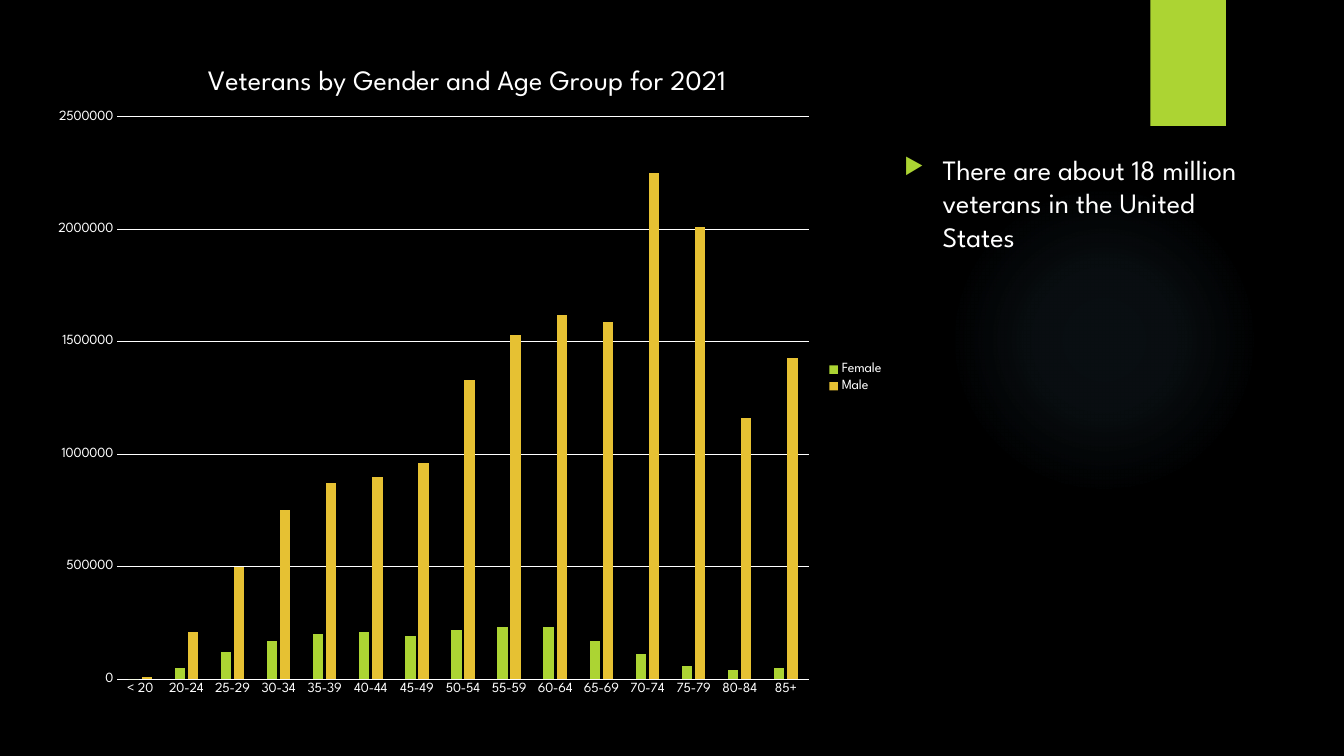
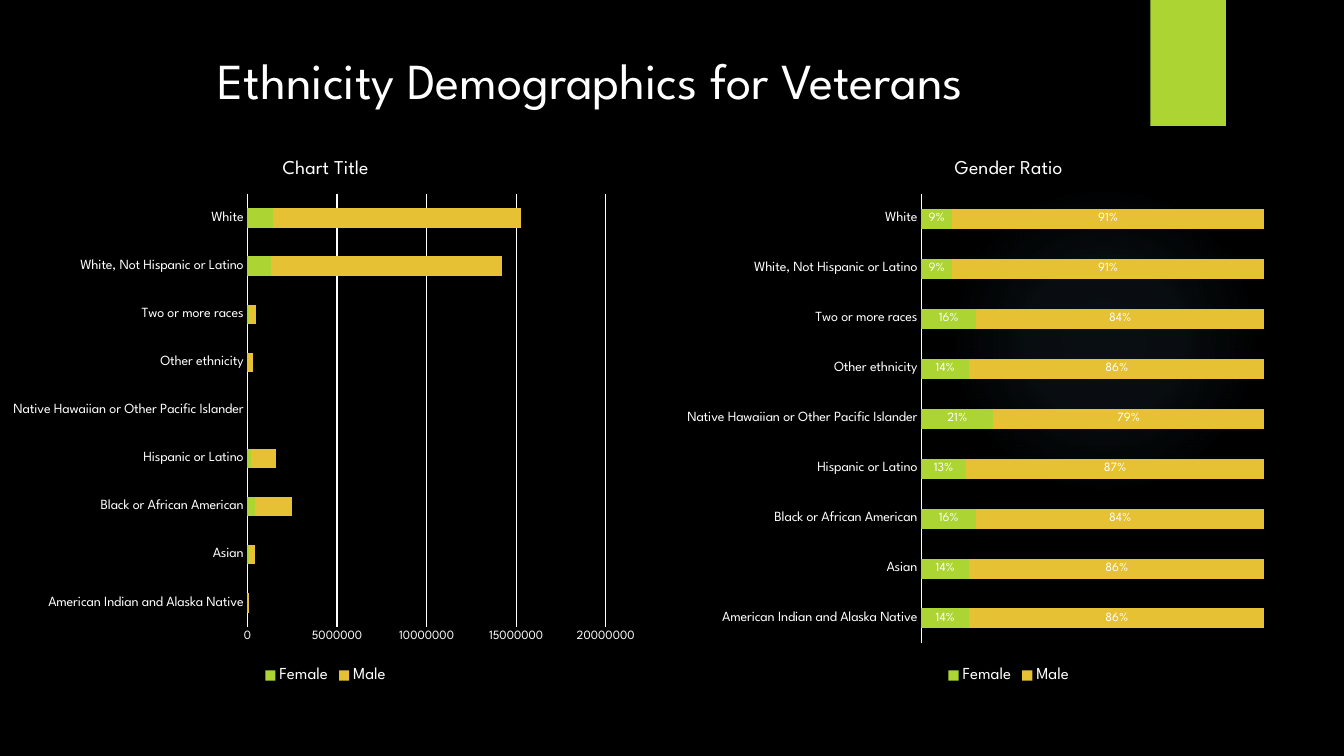
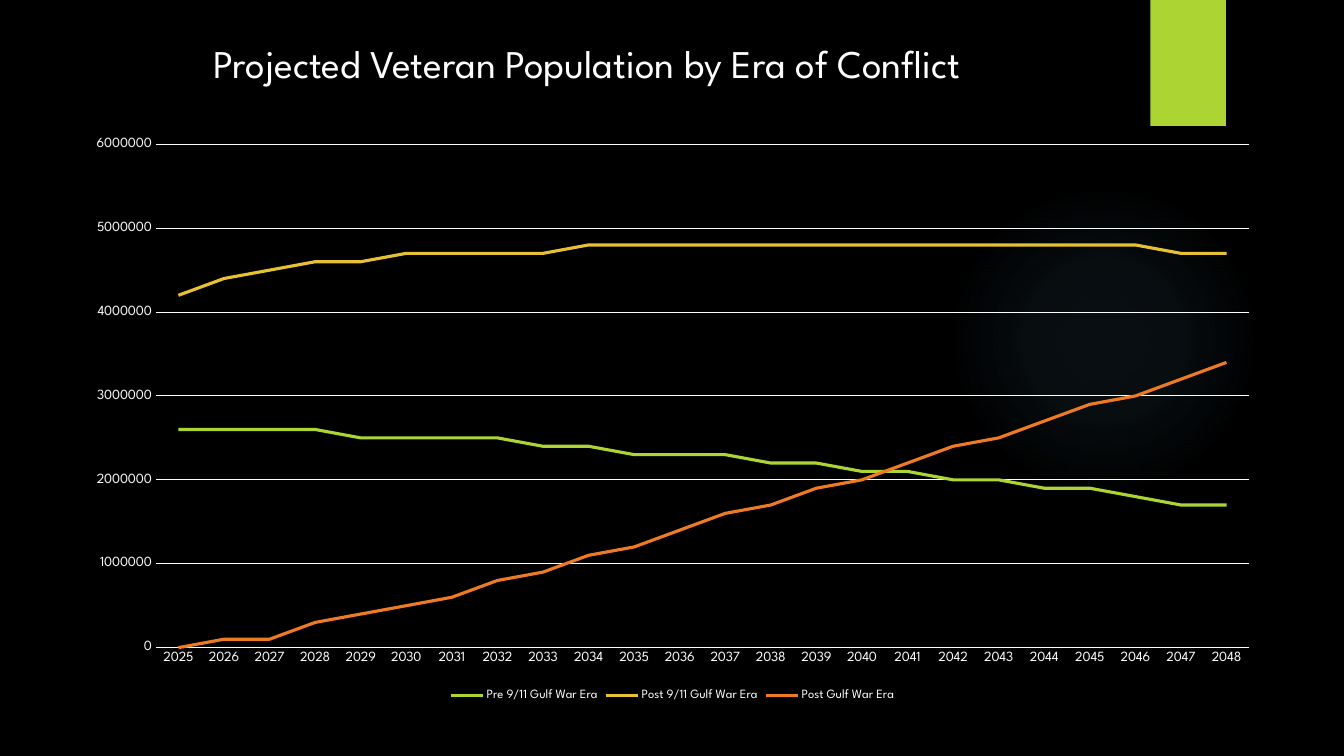
"""Build three slides of charts about United States veterans."""

from dataclasses import dataclass
from typing import Optional

from pptx import Presentation
from pptx.chart.axis import ValueAxis
from pptx.chart.chart import Chart
from pptx.chart.data import CategoryChartData
from pptx.dml.color import RGBColor
from pptx.enum.chart import XL_CHART_TYPE as ChartType
from pptx.enum.chart import XL_LABEL_POSITION as LabelPosition
from pptx.enum.chart import XL_LEGEND_POSITION as LegendPosition
from pptx.enum.chart import XL_TICK_MARK as TickMark
from pptx.enum.shapes import MSO_SHAPE as Preset
from pptx.enum.text import MSO_AUTO_SIZE as AutoSize
from pptx.enum.text import PP_ALIGN as Align
from pptx.oxml import parse_xml
from pptx.oxml.ns import nsdecls, qn
from pptx.slide import Slide
from pptx.util import Inches, Pt

FONT = "League Spartan"
COLORS = {
    "background": "000000",
    "text": "FFFFFF",
    "green": "ACD433",
    "yellow": "E6C133",
    "orange": "EF7A24",
    "glow": "7AC4F0",
}
SERIES_COLORS = ("green", "yellow", "orange")
GLOW_STOPS = ((0, 7), (36, 6), (69, 0))

AGE_GROUPS = ["< 20", *(f"{age}-{age + 4}" for age in range(20, 85, 5)), "85+"]
ETHNICITIES = [
    "American Indian and Alaska Native",
    "Asian",
    "Black or African American",
    "Hispanic or Latino",
    "Native Hawaiian or Other Pacific Islander",
    "Other ethnicity",
    "Two or more races",
    "White, Not Hispanic or Latino",
    "White",
]
YEARS = [str(year) for year in range(2025, 2049)]

Frame = tuple[float, float, float, float]


@dataclass(frozen=True)
class Graph:
    """A chart with its frame in inches and its plot area in fractions."""

    kind: ChartType
    frame: Frame
    plot_area: Frame
    categories: list[str]
    series: dict[str, list[float]]
    maximum: float
    unit: float
    title: str = ""
    title_size: int = 14
    legend: LegendPosition = LegendPosition.BOTTOM
    legend_size: int = 12
    value_size: int = 10
    gap: int = 150
    overlap: int = 100
    percent: bool = False


@dataclass(frozen=True)
class Heading:
    """A centred slide heading."""

    text: str
    frame: Frame
    size: int


@dataclass(frozen=True)
class Page:
    """The contents of one slide."""

    graphs: list[Graph]
    heading: Optional[Heading] = None
    bullet: str = ""


def thousands(*counts: int) -> list[float]:
    """Turn counts in thousands into whole numbers."""
    return [count * 1000 for count in counts]


FEMALE_SHARES = [0.14, 0.14, 0.16, 0.13, 0.21, 0.14, 0.16, 0.09, 0.09]

AGE_GRAPH = Graph(
    ChartType.COLUMN_CLUSTERED,
    (0.4, 0.43, 8.47, 6.64),
    (0.09, 0.11, 0.81, 0.84),
    AGE_GROUPS,
    {
        "Female": thousands(0, 50, 120, 170, 200, 210, 190, 220, 230, 230,
                            170, 110, 60, 40, 50),
        "Male": thousands(10, 210, 500, 750, 870, 900, 960, 1330, 1530, 1620,
                          1590, 2250, 2010, 1160, 1430),
    },
    maximum=2500000,
    unit=500000,
    title="Veterans by Gender and Age Group for 2021",
    title_size=20,
    legend=LegendPosition.RIGHT,
    legend_size=10,
    gap=219,
    overlap=-27,
)
RATIO_GRAPH = Graph(
    ChartType.BAR_STACKED,
    (6.67, 1.38, 6.67, 5.44),
    (0.37, 0.1, 0.51, 0.82),
    ETHNICITIES,
    {
        "Female": FEMALE_SHARES,
        "Male": [round(1 - share, 2) for share in FEMALE_SHARES],
    },
    maximum=1,
    unit=0.5,
    title="Gender Ratio",
    percent=True,
)
ETHNICITY_GRAPH = Graph(
    ChartType.BAR_STACKED,
    (0, 1.38, 6.46, 5.44),
    (0.38, 0.1, 0.55, 0.79),
    ETHNICITIES,
    {
        "Female": thousands(0, 100, 400, 200, 0, 0, 100, 1300, 1400),
        "Male": thousands(100, 300, 2100, 1400, 0, 300, 400, 12900, 13900),
    },
    maximum=20000000,
    unit=5000000,
    title="Chart Title",
    value_size=9,
)
ERA_GRAPH = Graph(
    ChartType.LINE,
    (0.71, 1.26, 11.92, 5.74),
    (0.07, 0.03, 0.91, 0.87),
    YEARS,
    {
        "Pre 9/11 Gulf War Era": thousands(
            2600, 2600, 2600, 2600, 2500, 2500, 2500, 2500, 2400, 2400, 2300, 2300,
            2300, 2200, 2200, 2100, 2100, 2000, 2000, 1900, 1900, 1800, 1700, 1700),
        "Post 9/11 Gulf War Era": thousands(
            4200, 4400, 4500, 4600, 4600, *[4700] * 4, *[4800] * 13, 4700, 4700),
        "Post Gulf War Era": thousands(
            0, 100, 100, 300, 400, 500, 600, 800, 900, 1100, 1200, 1400,
            1600, 1700, 1900, 2000, 2200, 2400, 2500, 2700, 2900, 3000, 3200, 3400),
    },
    maximum=6000000,
    unit=1000000,
    legend_size=9,
)
PAGES = [
    Page([AGE_GRAPH], bullet="There are about 18 million veterans in the United States"),
    Page(
        [RATIO_GRAPH, ETHNICITY_GRAPH],
        Heading("Ethnicity Demographics for Veterans", (0.76, 0.44, 10.19, 0.71), 36),
    ),
    Page(
        [ERA_GRAPH],
        Heading("Projected Veteran Population by Era of Conflict",
                (0.79, 0.34, 10.06, 0.57), 28),
    ),
]


def color(name: str) -> RGBColor:
    """Look up a colour by name."""
    return RGBColor.from_string(COLORS[name])


def inches(frame: Frame) -> list[Inches]:
    """Convert a frame to lengths."""
    return [Inches(length) for length in frame]


def style_font(font, size: int) -> None:
    """Apply the shared typeface and text colour."""
    font.name = FONT
    font.size = Pt(size)
    font.bold = False
    font.color.rgb = color("text")


def style_line(line) -> None:
    """Draw a thin line in the text colour."""
    line.color.rgb = color("text")
    line.width = Pt(0.75)


def add_decoration(slide: Slide) -> None:
    """Add the soft glow and the green tab."""
    glow = slide.shapes.add_shape(Preset.OVAL, *inches((9.41, 1.83, 3.08, 3.08)))
    tab = slide.shapes.add_shape(Preset.RECTANGLE, *inches((11.41, 0, 0.75, 1.25)))
    for shape in (glow, tab):
        shape.shadow.inherit = False
        shape.line.fill.background()
    tab.fill.solid()
    tab.fill.fore_color.rgb = color("green")
    stops = "".join(
        f'<a:gs pos="{position * 1000}"><a:srgbClr val="{COLORS["glow"]}">'
        f'<a:alpha val="{alpha * 1000}"/></a:srgbClr></a:gs>'
        for position, alpha in GLOW_STOPS
    )
    gradient = parse_xml(
        f'<a:gradFill {nsdecls("a")} rotWithShape="1"><a:gsLst>{stops}</a:gsLst>'
        '<a:path path="circle"><a:fillToRect l="50000" t="50000" r="50000" b="50000"/>'
        "</a:path></a:gradFill>"
    )
    glow.fill.background()
    properties = glow.element.spPr
    properties.replace(properties.find(qn("a:noFill")), gradient)


def add_text(slide: Slide, text: str, frame: Frame, size: int):
    """Add a wrapped text box and return its text frame."""
    text_frame = slide.shapes.add_textbox(*inches(frame)).text_frame
    text_frame.word_wrap = True
    text_frame.text = text
    style_font(text_frame.paragraphs[0].runs[0].font, size)
    return text_frame


def add_heading(slide: Slide, heading: Heading) -> None:
    """Add a centred heading."""
    text_frame = add_text(slide, heading.text, heading.frame, heading.size)
    text_frame.auto_size = AutoSize.SHAPE_TO_FIT_TEXT
    text_frame.paragraphs[0].alignment = Align.CENTER


def add_bullet(slide: Slide, text: str) -> None:
    """Add a paragraph with a green arrow bullet."""
    text_frame = add_text(slide, text, (8.87, 1.46, 3.77, 5.43), 20)
    properties = text_frame.paragraphs[0]._p.get_or_add_pPr()
    indent = Inches(0.38)
    properties.set("marL", str(indent))
    properties.set("indent", str(-indent))
    for element in (
        f'<a:buClr {nsdecls("a")}><a:srgbClr val="{COLORS["green"]}"/></a:buClr>',
        f'<a:buSzPct {nsdecls("a")} val="80000"/>',
        f'<a:buChar {nsdecls("a")} char="▶"/>',
    ):
        properties.append(parse_xml(element))


def place_plot(chart: Chart, area: Frame) -> None:
    """Fix the inner plot area as fractions of the chart."""
    plot_area = chart.element.chart.plotArea
    for layout in plot_area.findall(qn("c:layout")):
        plot_area.remove(layout)
    sizes = "".join(
        f'<c:{tag} val="{fraction}"/>' for tag, fraction in zip("xywh", area)
    )
    plot_area.insert(0, parse_xml(
        f'<c:layout {nsdecls("c")}><c:manualLayout><c:layoutTarget val="inner"/>'
        f'<c:xMode val="edge"/><c:yMode val="edge"/>{sizes}</c:manualLayout></c:layout>'
    ))


def style_value_axis(axis: ValueAxis, graph: Graph) -> None:
    """Set the scale, gridlines and labels of the value axis."""
    axis.minimum_scale = 0
    axis.maximum_scale = graph.maximum
    axis.major_unit = graph.unit
    axis.major_tick_mark = TickMark.NONE
    axis.visible = not graph.percent
    axis.has_major_gridlines = not graph.percent
    axis.tick_labels.number_format = "0%" if graph.percent else "0"
    axis.tick_labels.number_format_is_linked = False
    style_font(axis.tick_labels.font, graph.value_size)
    axis.format.line.fill.background()
    if axis.has_major_gridlines:
        style_line(axis.major_gridlines.format.line)


def style_series(chart: Chart, graph: Graph) -> None:
    """Colour the series and label shares."""
    plot = chart.plots[0]
    plot.vary_by_categories = False
    is_line = graph.kind == ChartType.LINE
    if not is_line:
        plot.gap_width = graph.gap
        plot.overlap = graph.overlap
    for series, name in zip(plot.series, SERIES_COLORS):
        if is_line:
            series.smooth = False
            series.format.line.color.rgb = color(name)
            series.format.line.width = Pt(2.25)
        else:
            series.invert_if_negative = False
            series.format.fill.solid()
            series.format.fill.fore_color.rgb = color(name)
        if graph.percent:
            labels = series.data_labels
            labels.show_value = True
            labels.number_format = "0%"
            labels.number_format_is_linked = False
            labels.position = LabelPosition.CENTER
            style_font(labels.font, 9)


def add_graph(slide: Slide, graph: Graph) -> None:
    """Add one styled chart."""
    data = CategoryChartData(number_format="0%" if graph.percent else "0")
    data.categories = graph.categories
    for name, values in graph.series.items():
        data.add_series(name, values)
    chart = slide.shapes.add_chart(graph.kind, *inches(graph.frame), data).chart
    style_font(chart.font, 10)
    chart.has_title = bool(graph.title)
    if graph.title:
        title = chart.chart_title
        title.text_frame.text = graph.title
        title.include_in_layout = False
        style_font(title.text_frame.paragraphs[0].runs[0].font, graph.title_size)
    chart.has_legend = True
    chart.legend.position = graph.legend
    chart.legend.include_in_layout = False
    style_font(chart.legend.font, graph.legend_size)
    category_axis = chart.category_axis
    category_axis.major_tick_mark = TickMark.NONE
    style_font(category_axis.tick_labels.font, 10)
    style_line(category_axis.format.line)
    style_value_axis(chart.value_axis, graph)
    style_series(chart, graph)
    place_plot(chart, graph.plot_area)


def main() -> None:
    """Build and save the deck."""
    deck = Presentation()
    deck.slide_width = Inches(13.33)
    deck.slide_height = Inches(7.5)
    background = deck.slide_master.background.fill
    background.solid()
    background.fore_color.rgb = color("background")
    for page in PAGES:
        slide = deck.slides.add_slide(deck.slide_layouts[6])
        add_decoration(slide)
        if page.bullet:
            add_bullet(slide, page.bullet)
        for graph in page.graphs:
            add_graph(slide, graph)
        if page.heading:
            add_heading(slide, page.heading)
    deck.save("out.pptx")


if __name__ == "__main__":
    main()
